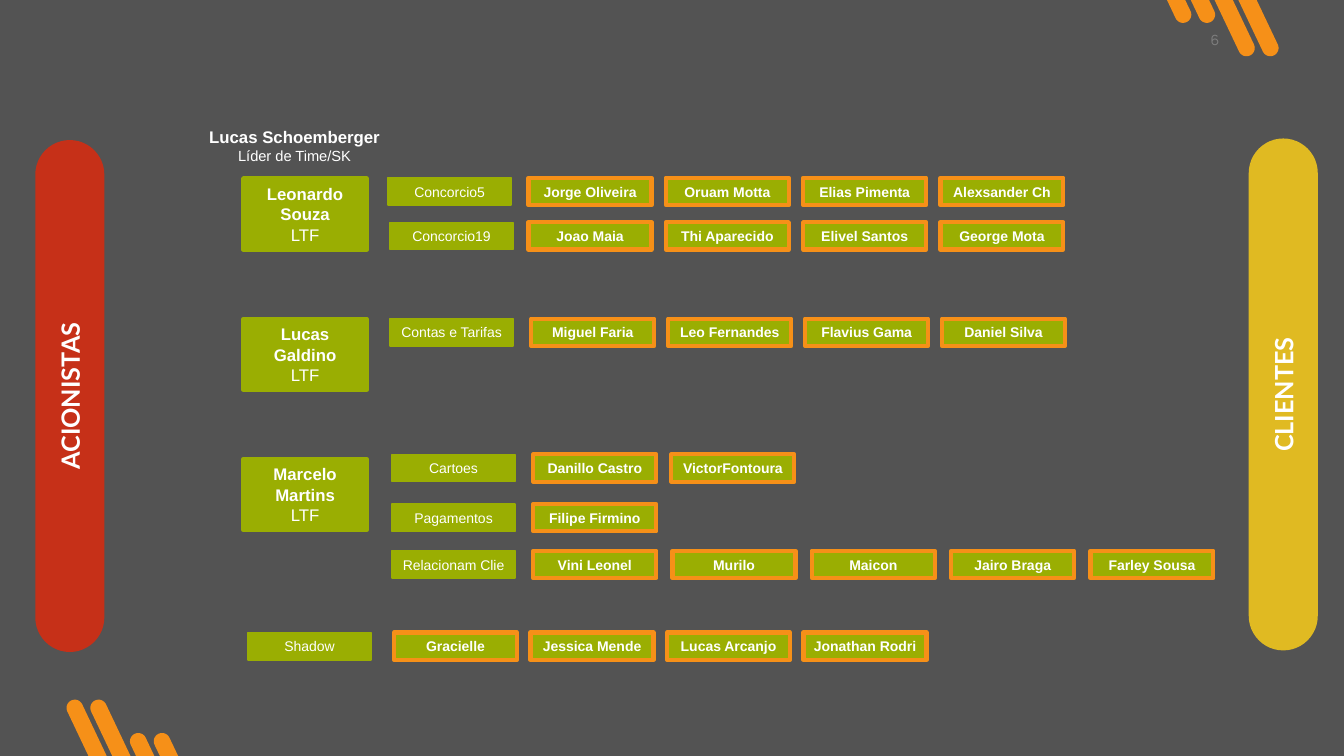
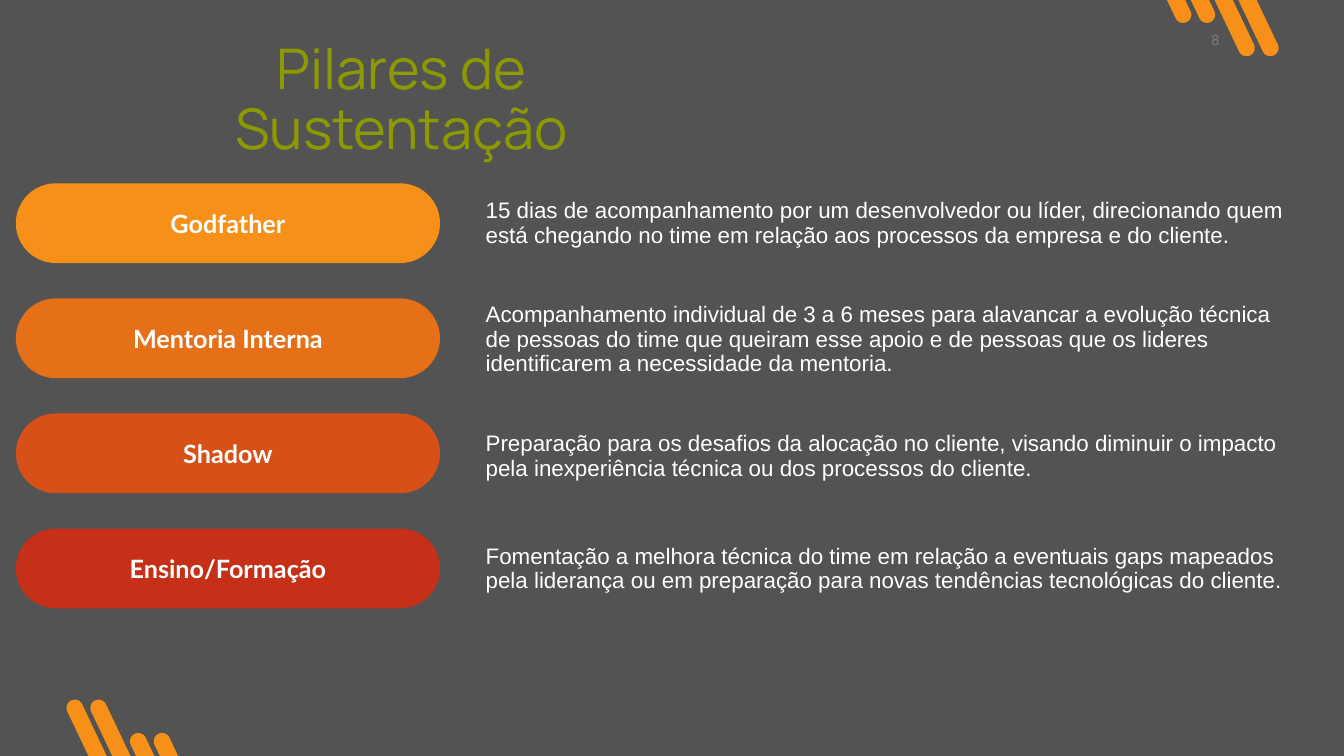
import math
from dataclasses import dataclass

from pptx import Presentation
from pptx.dml.color import RGBColor
from pptx.enum import shapes, text
from pptx.util import Cm, Pt


@dataclass(frozen=True)
class Theme:
    background: str = "535353"
    white: str = "FFFFFF"
    grey: str = "808080"
    green: str = "9AAE02"
    title: str = "8C9900"
    orange: str = "F69018"
    amber: str = "E67018"
    rust: str = "D65018"
    red: str = "C63018"
    yellow: str = "E0BA22"
    body_font: str = "Arial"
    pill_font: str = "Lato"
    title_font: str = "Manrope"
    title_size: float = 40
    pill_size: float = 18
    text_size: float = 16
    lead_size: float = 12
    role_size: float = 10.5
    small_size: float = 10


THEME = Theme()
NARROW = 0.13
WIDE = 0.25
CARD_WIDTH = 3.1
CARD_HEIGHT = 0.69

# Stripe lengths from the slide edge to the centre of the round end, in cm
SHORT, LONG = 0.37, 1.21
STRIPE_ANGLE = math.radians(25.4)
STRIPE_HALF_WIDTH = 0.23
STRIPE_STEP = 0.6

LEADS = ["Leonardo Souza", "Lucas Galdino", "Marcelo Martins"]

# Label left, first name left, step between names, top, label, names
TEAMS = [
    (9.78, 13.32, 3.46, 4.48, "Concorcio5",
     ["Jorge Oliveira", "Oruam Motta", "Elias Pimenta", "Alexsander Ch"]),
    (9.83, 13.32, 3.46, 5.6, "Concorcio19",
     ["Joao Maia", "Thi Aparecido", "Elivel Santos", "George Mota"]),
    (9.83, 13.39, 3.45, 8.03, "Contas e Tarifas",
     ["Miguel Faria", "Leo Fernandes", "Flavius Gama", "Daniel Silva"]),
    (9.88, 13.44, 3.48, 11.45, "Cartoes",
     ["Danillo Castro", "VictorFontoura"]),
    (9.88, 13.44, 3.48, 12.7, "Pagamentos", ["Filipe Firmino"]),
    (9.88, 13.44, 3.51, 13.88, "Relacionam Clie",
     ["Vini Leonel", "Murilo", "Maicon", "Jairo Braga", "Farley Sousa"]),
    (6.25, 9.93, 3.44, 15.94, "Shadow",
     ["Gracielle", "Jessica Mende", "Lucas Arcanjo", "Jonathan Rodri"]),
]

# Name, colour, top of the description, description
PILLARS = [
    ("Godfather", THEME.orange, 4.9,
     "15 dias de acompanhamento por um desenvolvedor ou líder, direcionando "
     "quem está chegando no time em relação aos processos da empresa e do "
     "cliente."),
    ("Mentoria Interna", THEME.amber, 7.52,
     "Acompanhamento individual de 3 a 6 meses para alavancar a evolução "
     "técnica de pessoas do time que queiram esse apoio e de pessoas que os "
     "lideres identificarem a necessidade da mentoria."),
    ("Shadow", THEME.rust, 10.77,
     "Preparação para os desafios da alocação no cliente, visando diminuir o "
     "impacto pela inexperiência técnica ou dos processos do cliente."),
    ("Ensino/Formação", THEME.red, 13.61,
     "Fomentação a melhora técnica do time em relação a eventuais gaps "
     "mapeados pela liderança ou em preparação para novas tendências "
     "tecnológicas do cliente."),
]


def color(value):
    return RGBColor.from_string(value)


def write(frame, words, size=THEME.small_size, font=THEME.body_font,
          fill=THEME.white, bold=False, align=text.PP_ALIGN.CENTER,
          spacing=None):
    """Add one formatted paragraph, using the empty first one if there is one."""
    para = frame.add_paragraph() if frame.text else frame.paragraphs[0]
    para.alignment = align
    if spacing:
        para.line_spacing = spacing
    span = para.add_run()
    span.text = words
    span.font.name = font
    span.font.size = Pt(size)
    span.font.bold = bold
    span.font.color.rgb = color(fill)


def prepare_frame(box, side=WIDE, anchor=text.MSO_ANCHOR.TOP):
    frame = box.text_frame
    frame.word_wrap = True
    frame.auto_size = text.MSO_AUTO_SIZE.NONE
    frame.vertical_anchor = anchor
    frame.margin_left = frame.margin_right = Cm(side)
    frame.margin_top = frame.margin_bottom = Cm(NARROW)
    return frame


def add_label(page, left, top, width, height, side=WIDE):
    box = page.shapes.add_textbox(Cm(left), Cm(top), Cm(width), Cm(height))
    return prepare_frame(box, side)


def paint(shape, fill, line=None, line_width=0):
    shape.shadow.inherit = False
    shape.fill.solid()
    shape.fill.fore_color.rgb = color(fill)
    if line:
        shape.line.color.rgb = color(line)
        shape.line.width = Pt(line_width)
    else:
        shape.line.fill.background()


def add_card(page, left, top, height=CARD_HEIGHT, line=THEME.green,
             line_width=3, side=NARROW):
    box = page.shapes.add_shape(shapes.MSO_SHAPE.RECTANGLE, Cm(left), Cm(top),
                                Cm(CARD_WIDTH), Cm(height))
    paint(box, THEME.green, line, line_width)
    return prepare_frame(box, side, text.MSO_ANCHOR.MIDDLE)


def add_pill(page, left, top, width, height, words, fill):
    """Add a fully rounded bar; a tall one has its text read upwards."""
    box = page.shapes.add_shape(shapes.MSO_SHAPE.ROUNDED_RECTANGLE, Cm(left),
                                Cm(top), Cm(width), Cm(height))
    box.adjustments[0] = 0.5
    paint(box, fill)
    frame = prepare_frame(box, NARROW, text.MSO_ANCHOR.MIDDLE)
    if height > width:
        box.element.txBody.bodyPr.set("vert", "vert270")
    write(frame, words, size=THEME.pill_size, font=THEME.pill_font, bold=True)


def stripe_outline(middle, edge, length, sign):
    """Points of a slanted stripe that leaves the slide edge; sign 1 is down."""
    sine, cosine = math.sin(STRIPE_ANGLE), math.cos(STRIPE_ANGLE)
    radius = STRIPE_HALF_WIDTH * cosine
    tip_x = middle + sign * length * math.tan(STRIPE_ANGLE)
    tip_y = edge + sign * length
    points = [(middle + STRIPE_HALF_WIDTH, edge)]
    for step in range(17):
        turn = math.pi * step / 16
        across, along = radius * math.cos(turn), radius * math.sin(turn) * sign
        points.append((tip_x + across * cosine + along * sine,
                       tip_y - across * sine + along * cosine))
    points.append((middle - STRIPE_HALF_WIDTH, edge))
    return [(Cm(x), Cm(y)) for x, y in points]


def add_stripes(page, first, edge, lengths, sign):
    outlines = [stripe_outline(first + index * STRIPE_STEP, edge, length, sign)
                for index, length in enumerate(lengths)]
    builder = page.shapes.build_freeform(*outlines[0][0], scale=1.0)
    for index, outline in enumerate(outlines):
        if index:
            builder.move_to(*outline[0])
        builder.add_line_segments(outline[1:], close=True)
    paint(builder.convert_to_shape(), THEME.orange)


def add_page(deck, layout, number):
    page = deck.slides.add_slide(deck.slide_layouts.get_by_name(layout))
    add_stripes(page, 2.46, 19.05, [LONG, LONG, SHORT, SHORT], -1)
    add_stripes(page, 29.64, 0, [SHORT, SHORT, LONG, LONG], 1)
    write(add_label(page, 29.21, 0.66, 1.65, 0.69, NARROW), number,
          font=THEME.title_font, fill=THEME.grey, align=text.PP_ALIGN.RIGHT)
    return page


def set_title(page, words):
    box = page.shapes.title
    box.left, box.top, box.width, box.height = Cm(4.78), Cm(0.9), Cm(10.67), Cm(3.6)
    write(prepare_frame(box, NARROW), words, size=THEME.title_size,
          font=THEME.title_font, fill=THEME.title, spacing=0.9)


def add_team_row(page, label_left, first_left, step, top, label, names):
    write(add_card(page, label_left, top, line_width=1), label)
    for index, name in enumerate(names):
        card = add_card(page, first_left + index * step, top, line=THEME.orange)
        write(card, name, bold=True)


def build_team_page(deck):
    page = add_page(deck, "Blank", "6")
    add_pill(page, 0.89, 3.53, 1.74, 12.9, "ACIONISTAS", THEME.red)
    add_pill(page, 31.47, 3.49, 1.74, 12.9, "CLIENTES", THEME.yellow)
    head = add_label(page, 5, 3.07, 4.85, 1.22)
    write(head, "Lucas Schoemberger", size=THEME.lead_size, bold=True)
    write(head, "Líder de Time/SK", size=THEME.role_size)
    for index, name in enumerate(LEADS):
        card = add_card(page, 6.14, 4.5 + index * 3.53, height=1.8, side=WIDE)
        write(card, name, size=THEME.lead_size, bold=True)
        write(card, "LTF", size=THEME.lead_size)
    for team in TEAMS:
        add_team_row(page, *team)


def build_pillars_page(deck):
    page = add_page(deck, "Title Only", "8")
    set_title(page, "Pilares de Sustentação")
    for index, (name, fill, top, description) in enumerate(PILLARS):
        add_pill(page, 0.4, 4.62 + index * 2.9, 10.69, 2.01, name, fill)
        write(add_label(page, 11.99, top, 20.85, 2.4), description,
              size=THEME.text_size, align=text.PP_ALIGN.LEFT, spacing=0.9)


def main():
    deck = Presentation()
    deck.slide_width, deck.slide_height = Cm(33.87), Cm(19.05)
    backdrop = deck.slide_master.background.fill
    backdrop.solid()
    backdrop.fore_color.rgb = color(THEME.background)
    build_team_page(deck)
    build_pillars_page(deck)
    deck.save("out.pptx")


if __name__ == "__main__":
    main()
